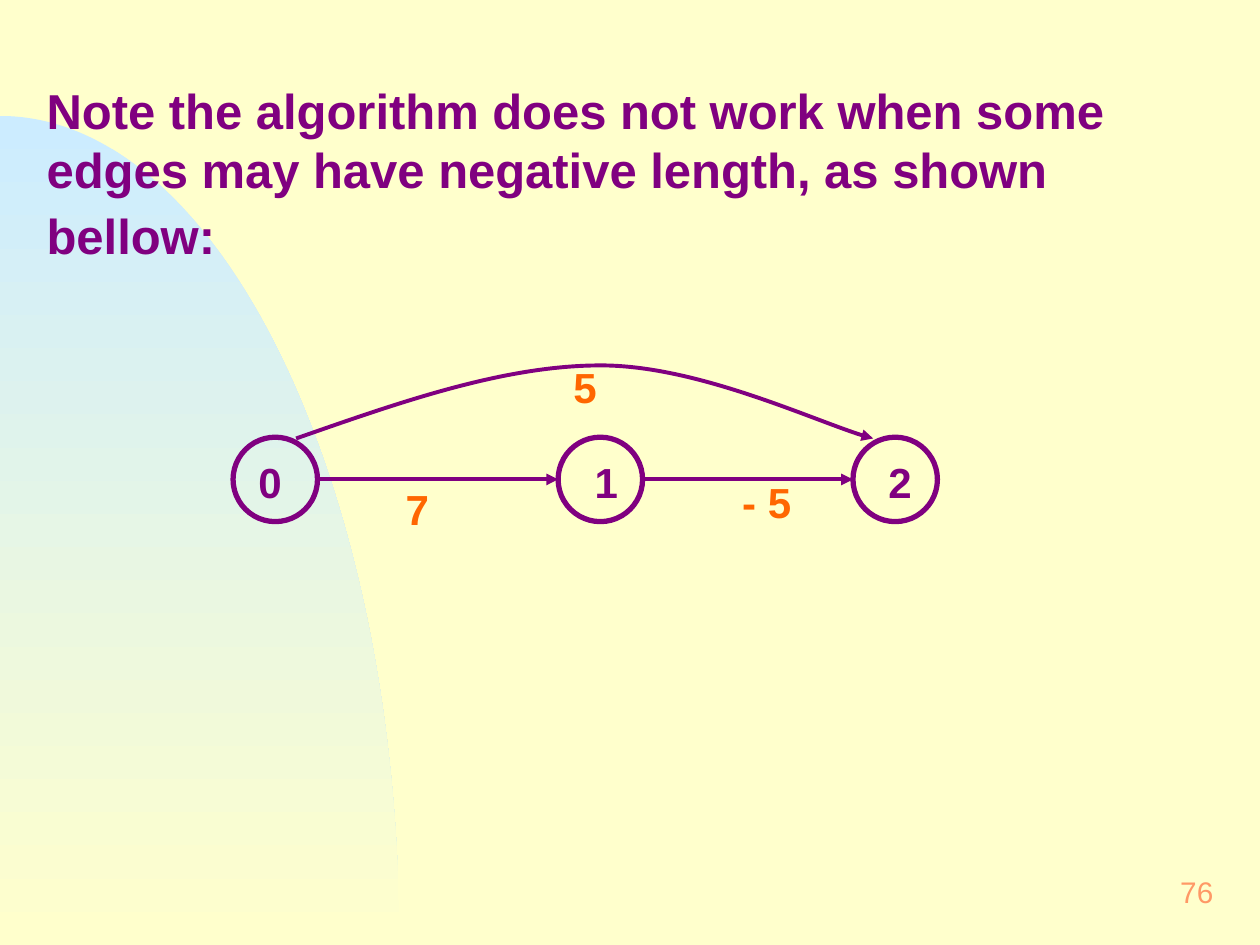
from dataclasses import dataclass

from lxml.etree import SubElement
from pptx import Presentation
from pptx.dml.color import RGBColor
from pptx.enum.shapes import MSO_CONNECTOR, MSO_SHAPE
from pptx.enum.text import MSO_ANCHOR, PP_ALIGN
from pptx.oxml.ns import qn
from pptx.util import Inches, Pt

PURPLE = "800080"
ORANGE = "FF6600"
CREAM = "FFFFCC"
NODE_TOP = 3.47
NODE_SIZE = 0.67

Point = tuple[float, float]


@dataclass
class Label:
    """A short text and where it stands."""
    text: str
    left: float
    top: float
    width: float = 0.75


@dataclass
class Node:
    """A graph node and its label."""
    left: float
    label: Label


NODES = [
    Node(1.85, Label("0", 1.93, 3.56, 0.5)),
    Node(4.43, Label("1", 4.6, 3.56, 0.5)),
    Node(6.77, Label("2", 6.93, 3.56, 0.58)),
]
EDGE_LABELS = [Label("7", 3.1, 3.78), Label("- 5", 5.77, 3.72), Label("5", 4.43, 2.81)]
LONG_EDGE = [
    (2.35, 3.48), (3.18, 3.19), (4, 2.9), (4.77, 2.9),
    (5.53, 2.9), (6.57, 3.39), (6.93, 3.48),
]
BACKDROP_CURVE = [(0, 0.92), (1.75, 0.92), (3.17, 3.87), (3.17, 7.5)]
BACKDROP_CORNER = (0, 7.5)


def color(value: str) -> RGBColor:
    """Turn a hex string into a colour."""
    return RGBColor.from_string(value)


def add_curve(slide, controls: list[Point], corners: tuple[Point, ...] = ()):
    """Build cubic curves from control points, closed through any corners."""
    places = [(Inches(x), Inches(y)) for x, y in (*controls, *corners)]
    builder = slide.shapes.build_freeform(*places[0])
    builder.add_line_segments(places[1:], close=bool(corners))
    shape = builder.convert_to_shape()
    shape.shadow.inherit = False
    segments = list(shape._element.iter(qn("a:lnTo")))[:len(controls) - 1]
    for index in range(0, len(segments), 3):
        first, second, third = segments[index:index + 3]
        first.tag = qn("a:cubicBezTo")
        for segment in (second, third):
            first.append(segment[0])
            segment.getparent().remove(segment)
    return shape


def style_arrow(shape) -> None:
    """Give an edge its line and arrowhead."""
    shape.line.color.rgb = color(PURPLE)
    shape.line.width = Pt(2.25)
    SubElement(shape.line._get_or_add_ln(), qn("a:tailEnd"), type="triangle")


def set_text(shape, text: str, size: float, hex_color: str, bold: bool = True):
    """Fill a text shape with one paragraph and return it."""
    frame = shape.text_frame
    frame.text = text
    frame.word_wrap = True
    frame.vertical_anchor = MSO_ANCHOR.TOP
    frame.margin_left = frame.margin_right = Inches(0.12)
    frame.margin_top = frame.margin_bottom = Inches(0.06)
    paragraph = frame.paragraphs[0]
    paragraph.alignment = PP_ALIGN.LEFT
    font = paragraph.runs[0].font
    font.name, font.size, font.bold = "Arial", Pt(size), bold
    font.color.rgb = color(hex_color)
    return paragraph


def add_label(slide, label: Label, hex_color: str) -> None:
    """Write a node name or an edge length."""
    box = slide.shapes.add_textbox(
        Inches(label.left), Inches(label.top), Inches(label.width), Inches(0.52))
    set_text(box, label.text, 24, hex_color)


def add_backdrop(slide) -> None:
    """Draw the shaded quarter ellipse behind everything."""
    shape = add_curve(slide, BACKDROP_CURVE, (BACKDROP_CORNER,))
    shape.line.fill.background()
    shape.fill.gradient()
    shape.fill.gradient_angle = 270
    for stop, position, value in zip(shape.fill.gradient_stops, (0, 1), ("CCECFF", CREAM)):
        stop.position = position
        stop.color.rgb = color(value)
    slide.shapes._spTree.insert(2, shape._element)


def add_title(slide) -> None:
    """Place the statement at the top."""
    title = slide.shapes.title
    title.left, title.top = Inches(0.25), Inches(0.58)
    title.width, title.height = Inches(9.58), Inches(1.59)
    paragraph = set_text(
        title, "Note the algorithm does not work when some edges may have "
        "negative length, as shown bellow:", 28, PURPLE)
    ending = paragraph.add_run()
    ending.text = " "
    ending.font.name, ending.font.size = "Times New Roman", Pt(32)
    ending.font.color.rgb = color("336699")


def add_node(slide, node: Node) -> None:
    """Draw a node circle with its name."""
    circle = slide.shapes.add_shape(
        MSO_SHAPE.OVAL, Inches(node.left), Inches(NODE_TOP),
        Inches(NODE_SIZE), Inches(NODE_SIZE))
    circle.shadow.inherit = False
    circle.fill.background()
    circle.line.color.rgb = color(PURPLE)
    circle.line.width = Pt(3)
    add_label(slide, node.label, PURPLE)


def add_edge(slide, source: Node, target: Node) -> None:
    """Join two neighbouring nodes with an arrow."""
    middle = Inches(NODE_TOP + NODE_SIZE / 2)
    edge = slide.shapes.add_connector(
        MSO_CONNECTOR.STRAIGHT, Inches(source.left + NODE_SIZE), middle,
        Inches(target.left), middle)
    style_arrow(edge)
    SubElement(edge._element.spPr, qn("a:effectLst"))


def add_long_edge(slide) -> None:
    """Draw the curved arrow from the first node to the last."""
    shape = add_curve(slide, LONG_EDGE)
    shape.fill.background()
    style_arrow(shape)


def add_page_number(slide) -> None:
    """Write the page number in the lower right corner."""
    box = slide.shapes.add_textbox(Inches(7.67), Inches(6.83), Inches(2.08), Inches(0.5))
    paragraph = set_text(box, "76", 17, "FF9966", bold=False)
    paragraph.alignment = PP_ALIGN.RIGHT
    box.text_frame.vertical_anchor = MSO_ANCHOR.MIDDLE


def main() -> None:
    """Build and save the slide."""
    presentation = Presentation()
    presentation.slide_width, presentation.slide_height = Inches(10), Inches(7.5)
    slide = presentation.slides.add_slide(presentation.slide_layouts[5])
    slide.background.fill.solid()
    slide.background.fill.fore_color.rgb = color(CREAM)
    add_backdrop(slide)
    add_page_number(slide)
    add_title(slide)
    for node in NODES:
        add_node(slide, node)
    for source, target in zip(NODES, NODES[1:]):
        add_edge(slide, source, target)
    add_long_edge(slide)
    for label in EDGE_LABELS:
        add_label(slide, label, ORANGE)
    presentation.save("out.pptx")


if __name__ == "__main__":
    main()
